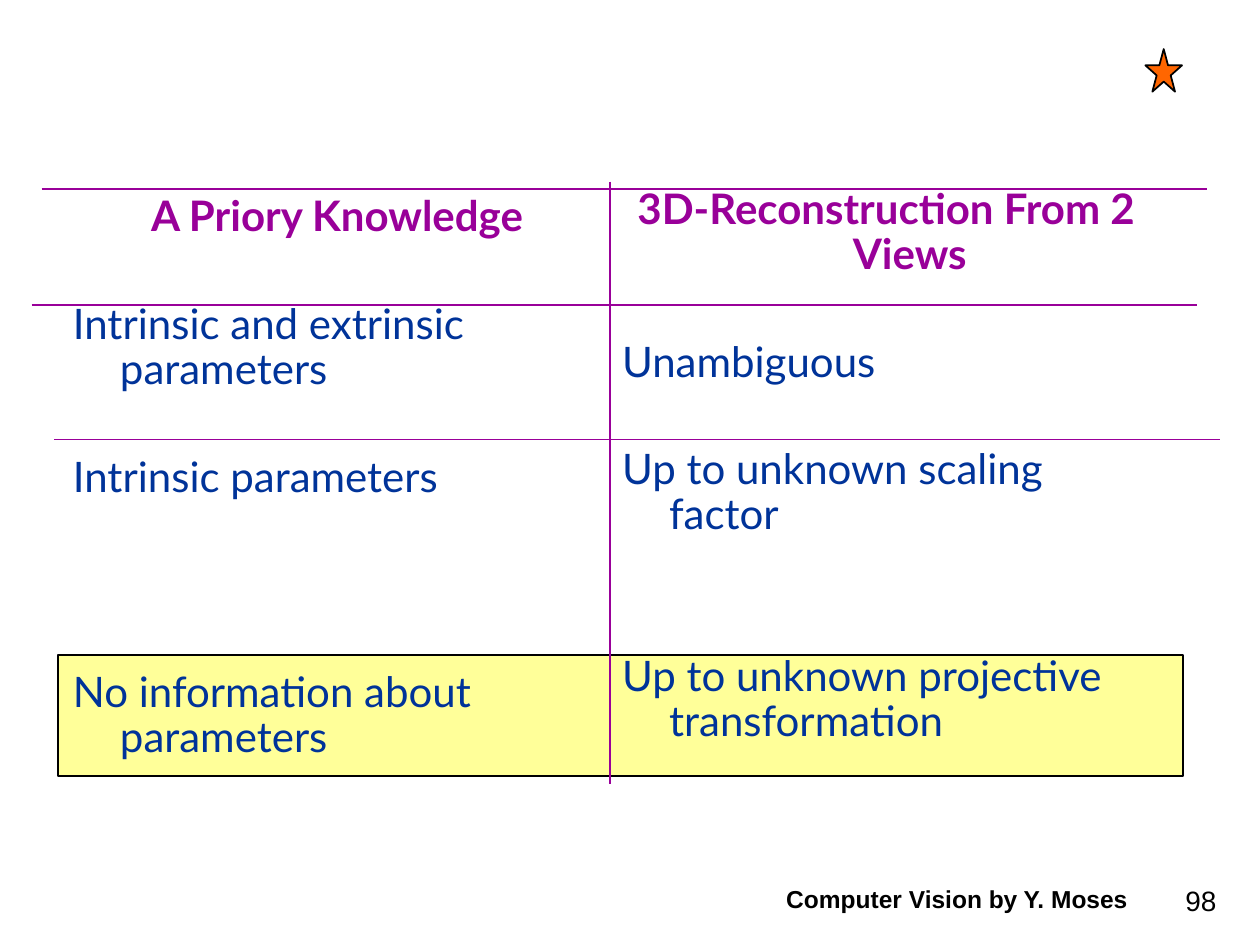
from lxml import etree
from pptx import Presentation
from pptx.dml.color import RGBColor
from pptx.enum.shapes import MSO_CONNECTOR, MSO_SHAPE
from pptx.enum.text import MSO_ANCHOR, PP_ALIGN
from pptx.oxml.ns import qn
from pptx.util import Cm, Pt

STRAIGHT = MSO_CONNECTOR.STRAIGHT
RECTANGLE, STAR = MSO_SHAPE.RECTANGLE, MSO_SHAPE.STAR_5_POINT
BOTTOM, TOP = MSO_ANCHOR.BOTTOM, MSO_ANCHOR.TOP
LEFT, CENTER, RIGHT = PP_ALIGN.LEFT, PP_ALIGN.CENTER, PP_ALIGN.RIGHT

PURPLE, BLUE, BLACK = "990099", "003399", "000000"
YELLOW, ORANGE = "FFFF99", "FF6600"
ROW_PITCH, PARAGRAPH_GAP = 30.75, 4.85

KNOWLEDGE = [
    ("A Priory Knowledge", 0),
    ("Intrinsic and extrinsic parameters", 1),
    ("Intrinsic parameters", 1),
    ("No information about parameters", 3),
]
RECONSTRUCTION = [
    ("3D-Reconstruction From 2 Views", 0),
    ("Unambiguous", 1),
    ("Up to unknown scaling factor", 1),
    ("Up to unknown projective transformation", 2),
]


def color(value):
    return RGBColor.from_string(value)


def add_run(paragraph, text, font_name, size, fill, bold=False):
    run = paragraph.add_run()
    run.text = text
    run.font.name = font_name
    run.font.size = Pt(size)
    run.font.bold = bold
    run.font.color.rgb = color(fill)


def add_text_frame(slide, left, top, width, height, anchor):
    box = slide.shapes.add_textbox(Cm(left), Cm(top), Cm(width), Cm(height))
    box.text_frame.word_wrap = True
    box.text_frame.vertical_anchor = anchor
    return box.text_frame


def add_filled_shape(slide, kind, left, top, width, height, fill):
    shape = slide.shapes.add_shape(kind, Cm(left), Cm(top), Cm(width), Cm(height))
    shape.shadow.inherit = False
    shape.fill.solid()
    shape.fill.fore_color.rgb = color(fill)
    shape.line.color.rgb = color(BLACK)
    shape.line.width = Pt(1)


def add_rule(slide, start_x, start_y, end_x, end_y):
    line = slide.shapes.add_connector(
        STRAIGHT, Cm(start_x), Cm(start_y), Cm(end_x), Cm(end_y))
    line.line.color.rgb = color(PURPLE)
    line.line.width = Pt(1)
    properties = line._element.find(qn("p:spPr"))
    etree.SubElement(properties, qn("a:effectLst"))


def add_column(slide, left, top, width, height, entries):
    frame = add_text_frame(slide, left, top, width, height, TOP)
    for index, (text, skipped_rows) in enumerate(entries):
        heading = index == 0
        paragraph = frame.paragraphs[0] if heading else frame.add_paragraph()
        paragraph.alignment = CENTER if heading else LEFT
        paragraph.line_spacing = 0.9
        if not heading:
            paragraph.space_before = Pt(skipped_rows * ROW_PITCH + PARAGRAPH_GAP)
        indents = paragraph._p.get_or_add_pPr()
        indents.set("marL", str(Cm(0.95)))
        indents.set("indent", str(-Cm(0.95)))
        add_run(paragraph, text, "Lato", 24, PURPLE if heading else BLUE, heading)


def add_comparison(slide, left, top, width, height):
    divider = left + 11.65
    add_filled_shape(slide, RECTANGLE, left + 0.53, top + 9.55, 22.68, 2.44, YELLOW)
    add_column(slide, left + 0.58, top + 0.15, 11.15, 12.07, KNOWLEDGE)
    add_column(slide, divider, top, 11.15, 11.91, RECONSTRUCTION)
    add_rule(slide, divider, top, divider, top + height)
    for shift, drop in ((0, 2.49), (0.2, 0.15), (0.45, 5.2)):
        add_rule(slide, left + shift, top + drop, left + shift + width, top + drop)


def add_footer(slide, left, top):
    parts = (
        (4.22, 0.08, 5.28, "98", 16, False, RIGHT),
        (0, 0, 8.05, "Computer Vision by Y. Moses", 14, True, CENTER),
    )
    for shift, drop, width, text, size, bold, alignment in parts:
        frame = add_text_frame(slide, left + shift, top + drop, width, 1.27, BOTTOM)
        paragraph = frame.paragraphs[0]
        paragraph.alignment = alignment
        add_run(paragraph, text, "Arial", size, BLACK, bold)


def main():
    presentation = Presentation()
    presentation.slide_width = Cm(25.4)
    presentation.slide_height = Cm(19.05)
    slide = presentation.slides.add_slide(presentation.slide_layouts[6])
    add_footer(slide, 15.27, 17.27)
    add_comparison(slide, 0.64, 3.66, 23.5, 12.14)
    add_filled_shape(slide, STAR, 23.09, 0.99, 0.74, 0.86, ORANGE)
    presentation.save("out.pptx")


if __name__ == "__main__":
    main()
